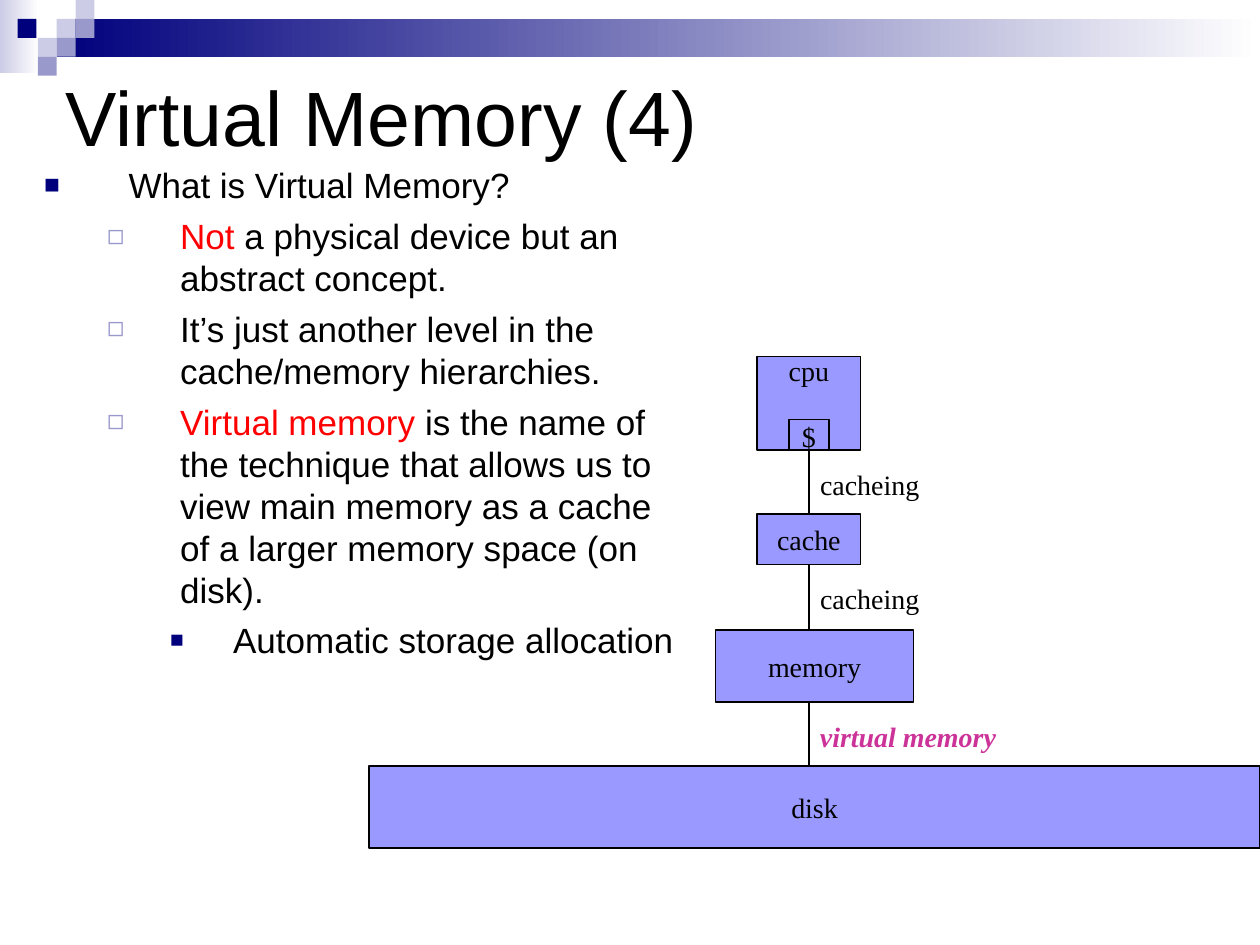
"""Build the Virtual Memory slide with its memory hierarchy diagram."""
from lxml import etree
from pptx import Presentation
from pptx.dml.color import RGBColor
from pptx.enum.shapes import MSO_CONNECTOR, MSO_SHAPE
from pptx.enum.text import MSO_ANCHOR, MSO_AUTO_SIZE, PP_ALIGN
from pptx.oxml.ns import qn
from pptx.util import Inches, Pt

RECTANGLE = MSO_SHAPE.RECTANGLE
STRAIGHT = MSO_CONNECTOR.STRAIGHT
MIDDLE = MSO_ANCHOR.MIDDLE
NO_AUTOFIT = MSO_AUTO_SIZE.NONE
LEFT, CENTER = PP_ALIGN.LEFT, PP_ALIGN.CENTER

COLORS = {
    "black": "000000", "white": "FFFFFF", "navy": "00007D", "violet": "9999CC",
    "pale": "CCCCE6", "red": "FF0000", "box": "9999FF", "magenta": "CC3399",
}
TITLE = "Virtual Memory (4)"
BODY = [
    (0, [("What is Virtual Memory?", "black")]),
    (1, [("Not", "red"), (" a physical device but an abstract concept.", "black")]),
    (1, [("It’s just another level in the cache/memory hierarchies.", "black")]),
    (1, [("Virtual memory ", "red"),
         ("is the name of the technique that allows us to view main memory "
          "as a cache of a larger memory space (on disk).", "black")]),
    (2, [("Automatic storage allocation", "black")]),
]
LEVELS = [
    {"margin": 0.67, "hang": 0.67, "bullet": "■", "color": "navy", "percent": 75},
    {"margin": 1.08, "hang": 0.58, "bullet": "◻", "color": "violet", "percent": 80},
    {"margin": 1.5, "hang": 0.5, "bullet": "■", "color": "navy", "percent": 65},
]
BANDS = [((0, 0, 0.31, 0.58), "pale"), ((0.45, 0.15, 9.55, 0.3), "navy")]
TILE = 0.15
TILES = [(3, 1, "pale"), (4, 0, "pale"), (4, 1, "violet"), (2, 2, "pale"),
         (0.93, 1, "navy"), (3, 2, "violet"), (2, 3, "violet")]
BOXES = [
    (["cpu", "$"], (6.01, 2.83, 0.82, 0.74)),
    (["cache"], (6.01, 4.08, 0.82, 0.4)),
    (["memory"], (5.68, 5, 1.57, 0.57)),
    (["disk"], (2.93, 6.08, 7.07, 0.65)),
]
CACHE_IN_CPU = (6.26, 3.33, 0.32, 0.24)
LINKS = [("cacheing", 0.99, "black"), ("cacheing", 0.99, "black"),
         ("virtual memory", 1.6, "magenta")]
LINK_X = 6.42


def rgb(name):
    return RGBColor.from_string(COLORS[name])


def format_run(run, size, font, color):
    run.font.size = Pt(size)
    run.font.name = font
    run.font.color.rgb = rgb(color)


def add_rectangle(slide, bounds, fill=None, outlined=False):
    shape = slide.shapes.add_shape(RECTANGLE, *map(Inches, bounds))
    shape.shadow.inherit = False
    if fill:
        shape.fill.solid()
        shape.fill.fore_color.rgb = rgb(fill)
    else:
        shape.fill.background()
    if outlined:
        shape.line.color.rgb = rgb("black")
        shape.line.width = Pt(1)
    else:
        shape.line.fill.background()
    return shape


def place(shape, bounds):
    shape.left, shape.top, shape.width, shape.height = map(Inches, bounds)
    shape.text_frame.auto_size = NO_AUTOFIT


def add_header(slide):
    for bounds, color in BANDS:
        fill = add_rectangle(slide, bounds, color).fill
        fill.gradient()
        fill.gradient_angle = 0
        for stop, name in zip(fill.gradient_stops, (color, "white")):
            stop.color.rgb = rgb(name)
    for column, row, color in TILES:
        add_rectangle(slide, (column * TILE, row * TILE, TILE, TILE), color)


def set_bullet(paragraph, level):
    properties = paragraph._p.get_or_add_pPr()
    properties.set("marL", str(Inches(level["margin"])))
    properties.set("indent", str(-Inches(level["hang"])))
    color = etree.SubElement(properties, qn("a:buClr"))
    etree.SubElement(color, qn("a:srgbClr"), val=COLORS[level["color"]])
    etree.SubElement(properties, qn("a:buSzPct"), val=str(level["percent"] * 1000))
    etree.SubElement(properties, qn("a:buFont"), typeface="Arial")
    etree.SubElement(properties, qn("a:buChar"), char=level["bullet"])


def fill_placeholders(slide):
    title, body = slide.placeholders
    place(title, (0.42, 0.5, 8.42, 0.83))
    title.text_frame.text = TITLE
    title.text_frame.vertical_anchor = MIDDLE
    heading = title.text_frame.paragraphs[0]
    heading.alignment = LEFT
    format_run(heading.runs[0], 44, "Arial", "black")

    place(body, (0.25, 1.25, 5.25, 6.08))
    for index, (level, runs) in enumerate(BODY):
        frame = body.text_frame
        paragraph = frame.add_paragraph() if index else frame.paragraphs[0]
        paragraph.level = level
        paragraph.line_spacing = Pt(24)
        paragraph.space_before = Pt(5)
        set_bullet(paragraph, LEVELS[level])
        for text, color in runs:
            run = paragraph.add_run()
            run.text = text
            format_run(run, 20, "Arial", color)


def add_diagram(slide):
    for lines, bounds in BOXES:
        frame = add_rectangle(slide, bounds, "box", outlined=True).text_frame
        frame.text = "\n".join(lines)
        frame.word_wrap = False
        frame.vertical_anchor = MIDDLE
        for index, paragraph in enumerate(frame.paragraphs):
            paragraph.alignment = CENTER
            paragraph.space_before = Pt(18.4 * index)
            format_run(paragraph.runs[0], 16, "Times New Roman", "black")
    add_rectangle(slide, CACHE_IN_CPU, outlined=True)

    for (_, upper), (_, lower), (text, width, color) in zip(BOXES, BOXES[1:], LINKS):
        start, end = upper[1] + upper[3], lower[1]
        link = slide.shapes.add_connector(
            STRAIGHT, *map(Inches, (LINK_X, start, LINK_X, end)))
        link.line.color.rgb = rgb("black")
        link.line.width = Pt(1)
        etree.SubElement(link._element.spPr, qn("a:effectLst"))
        label = slide.shapes.add_textbox(
            *map(Inches, (LINK_X - 0.01, start + 0.09, width, 0.36)))
        label.text_frame.text = text
        run = label.text_frame.paragraphs[0].runs[0]
        format_run(run, 16, "Times New Roman", color)
        run.font.bold = run.font.italic = color == "magenta"


def main():
    presentation = Presentation()
    presentation.slide_width = Inches(10)
    presentation.slide_height = Inches(7.5)
    slide = presentation.slides.add_slide(presentation.slide_layouts[1])
    add_header(slide)
    fill_placeholders(slide)
    add_diagram(slide)
    presentation.save("out.pptx")


if __name__ == "__main__":
    main()
